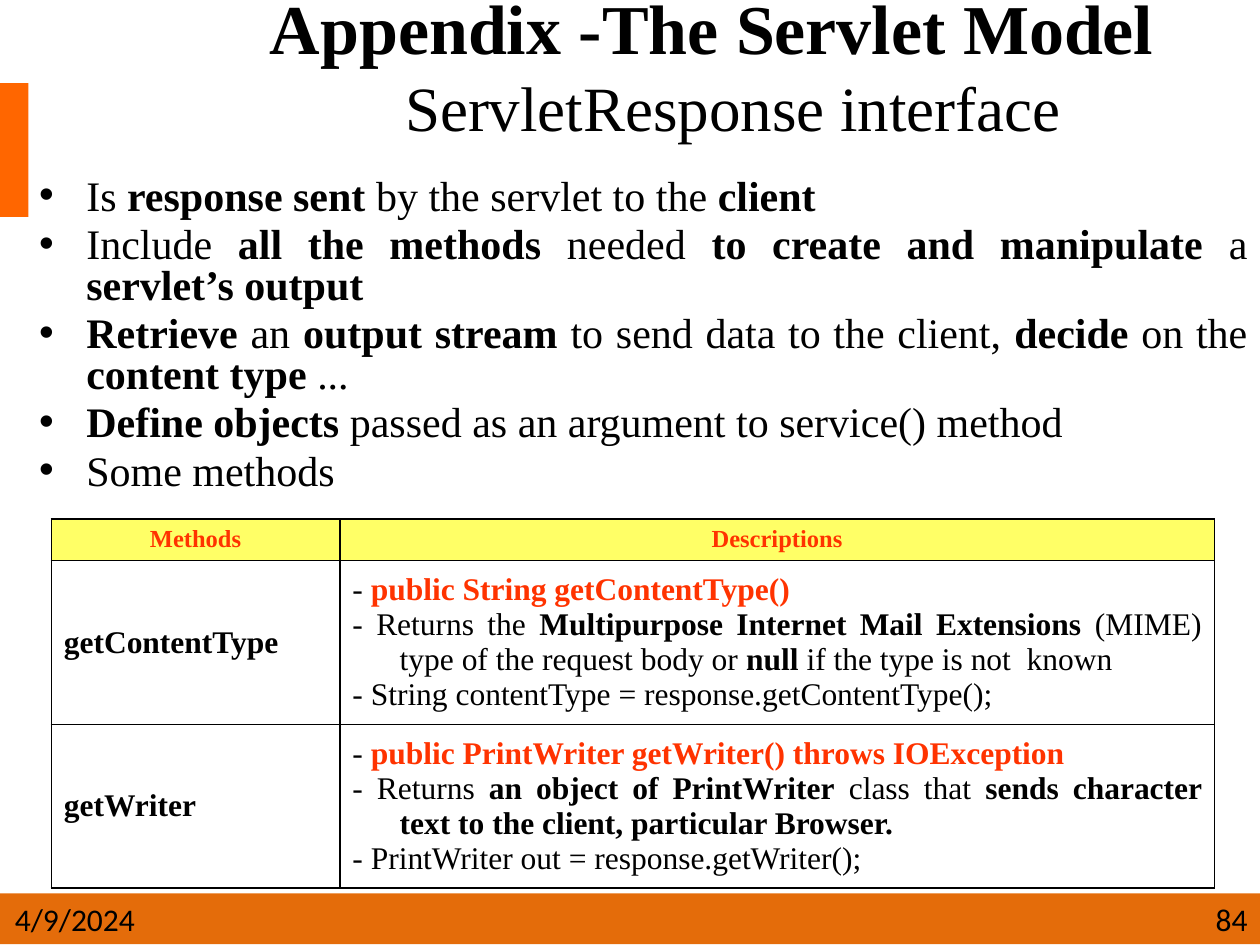
from pptx import Presentation
from pptx.dml.color import RGBColor
from pptx.enum.shapes import MSO_SHAPE
from pptx.enum.text import MSO_ANCHOR, MSO_AUTO_SIZE, PP_ALIGN
from pptx.oxml import parse_xml
from pptx.oxml.ns import nsdecls
from pptx.util import Pt

HUES = {"black": "000000", "red": "FF3300", "yellow": "FFFF66",
        "footer": "E46C0A", "side": "FF6600"}
SERIF = "Times New Roman"
INDENT = 27


def add_runs(para, text, size, accent="black", font=SERIF):
    """Add text as runs; parts between asterisks are bold, in the accent colour."""
    for i, part in enumerate(text.split("*")):
        if part:
            run = para.add_run()
            run.text = part
            run.font.name = font
            run.font.size = Pt(size)
            run.font.bold = i % 2 == 1
            hue = accent if i % 2 else "black"
            run.font.color.rgb = RGBColor.from_string(HUES[hue])


def hang(para):
    """Give a paragraph a hanging indent."""
    props = para._p.get_or_add_pPr()
    props.set("marL", str(Pt(INDENT)))
    props.set("indent", str(Pt(-INDENT)))
    return props


deck = Presentation()
deck.slide_width, deck.slide_height = Pt(720), Pt(540)
slide = deck.slides.add_slide(deck.slide_layouts[1])
shapes = slide.shapes
title, body = shapes.title, slide.placeholders[1]

# Colour bars
for x, y, w, h, hue in [(0, 510.5, 720, 29, "footer"), (0, 47.5, 16.3, 76.5, "side")]:
    bar = shapes.add_shape(MSO_SHAPE.RECTANGLE, Pt(x), Pt(y), Pt(w), Pt(h))
    bar.shadow.inherit = False
    bar.fill.solid()
    bar.fill.fore_color.rgb = RGBColor.from_string(HUES[hue])
    bar.line.fill.background()

# Title and list
for box, x, y, w, h in [(title, 104.4, 5.8, 615.6, 74.2), (body, 15.1, 98.6, 704.9, 195.8)]:
    box.left, box.top, box.width, box.height = Pt(x), Pt(y), Pt(w), Pt(h)
    box.text_frame.auto_size = MSO_AUTO_SIZE.NONE
    box.text_frame.word_wrap = True

title.text_frame.vertical_anchor = MSO_ANCHOR.MIDDLE
head = title.text_frame.paragraphs[0]
head.alignment = PP_ALIGN.CENTER
head.line_spacing = 0.7
add_runs(head, "*Appendix -The Servlet Model*", 40)
add_runs(head, " ", 44)
head.add_line_break()
add_runs(head, "* *", 54)
add_runs(head, "ServletResponse interface", 36)

points = [
    "Is *response sent *by the servlet to the *client*",
    "Include *all the methods *needed *to create and manipulate *a *servlet’s output*",
    "*Retrieve* an *output stream *to send data to the client, *decide* on the *content type *...",
    "*Define objects* passed as an argument to service() method ",
    "Some methods",
]
frame = body.text_frame
for i, text in enumerate(points):
    para = frame.add_paragraph() if i else frame.paragraphs[0]
    props = hang(para)
    props.append(parse_xml(f'<a:buFont {nsdecls("a")} typeface="Arial"/>'))
    props.append(parse_xml(f'<a:buChar {nsdecls("a")} char="•"/>'))
    para.alignment = PP_ALIGN.JUSTIFY
    para.line_spacing = 0.8
    para.space_before = Pt(4.8 if i else 0)
    add_runs(para, text, 24)

# Method table
rows = [
    (["*Methods*"], ["*Descriptions*"]),
    (["*getContentType*"], [
        "- *public String getContentType()*",
        "- Returns the *Multipurpose Internet Mail Extensions* (MIME) type of the "
        "request body or *null* if the type is not  known",
        "- String contentType = response.getContentType();"]),
    (["*getWriter*"], [
        "- *public PrintWriter getWriter() throws IOException*",
        "- Returns *an object of PrintWriter* class that *sends character text to the "
        "client, particular Browser.*",
        "- PrintWriter out = response.getWriter();"]),
]
holder = shapes.add_table(3, 2, Pt(29.3), Pt(296.5), Pt(664.6), Pt(211))
table = holder.table
for col, width in zip(table.columns, (164.9, 499.7)):
    col.width = Pt(width)
for row, height in zip(table.rows, (23.8, 93.6, 93.6)):
    row.height = Pt(height)

for r, row in enumerate(rows):
    for c, lines in enumerate(row):
        cell = table.cell(r, c)
        cell.margin_left = cell.margin_right = Pt(7.2)
        cell.margin_top = cell.margin_bottom = Pt(3.6)
        cell.vertical_anchor = MSO_ANCHOR.MIDDLE if r else MSO_ANCHOR.TOP
        props = cell._tc.get_or_add_tcPr()
        for side in ("lnL", "lnR", "lnT", "lnB"):
            props.append(parse_xml(
                f'<a:{side} {nsdecls("a")} w="{Pt(1)}"><a:solidFill>'
                f'<a:srgbClr val="{HUES["black"]}"/></a:solidFill></a:{side}>'))
        if r:
            cell.fill.background()
        else:
            cell.fill.solid()
            cell.fill.fore_color.rgb = RGBColor.from_string(HUES["yellow"])
        for i, text in enumerate(lines):
            frame = cell.text_frame
            para = frame.add_paragraph() if i else frame.paragraphs[0]
            hang(para)
            if r == 0:
                para.alignment = PP_ALIGN.CENTER
            else:
                para.alignment = PP_ALIGN.JUSTIFY if c else PP_ALIGN.LEFT
            hot = r == 0 or (c == 1 and i == 0)
            add_runs(para, text, 18 if r else 14, "red" if hot else "black")

# Footer
for text, x, w, align in [("4/9/2024", 1.4, 109.4, PP_ALIGN.LEFT),
                          ("84", 504, 216, PP_ALIGN.RIGHT)]:
    note = shapes.add_textbox(Pt(x), Pt(510.5), Pt(w), Pt(29))
    note.text_frame.word_wrap = True
    para = note.text_frame.paragraphs[0]
    para.alignment = align
    add_runs(para, text, 18, font="Calibri")

deck.save("out.pptx")
